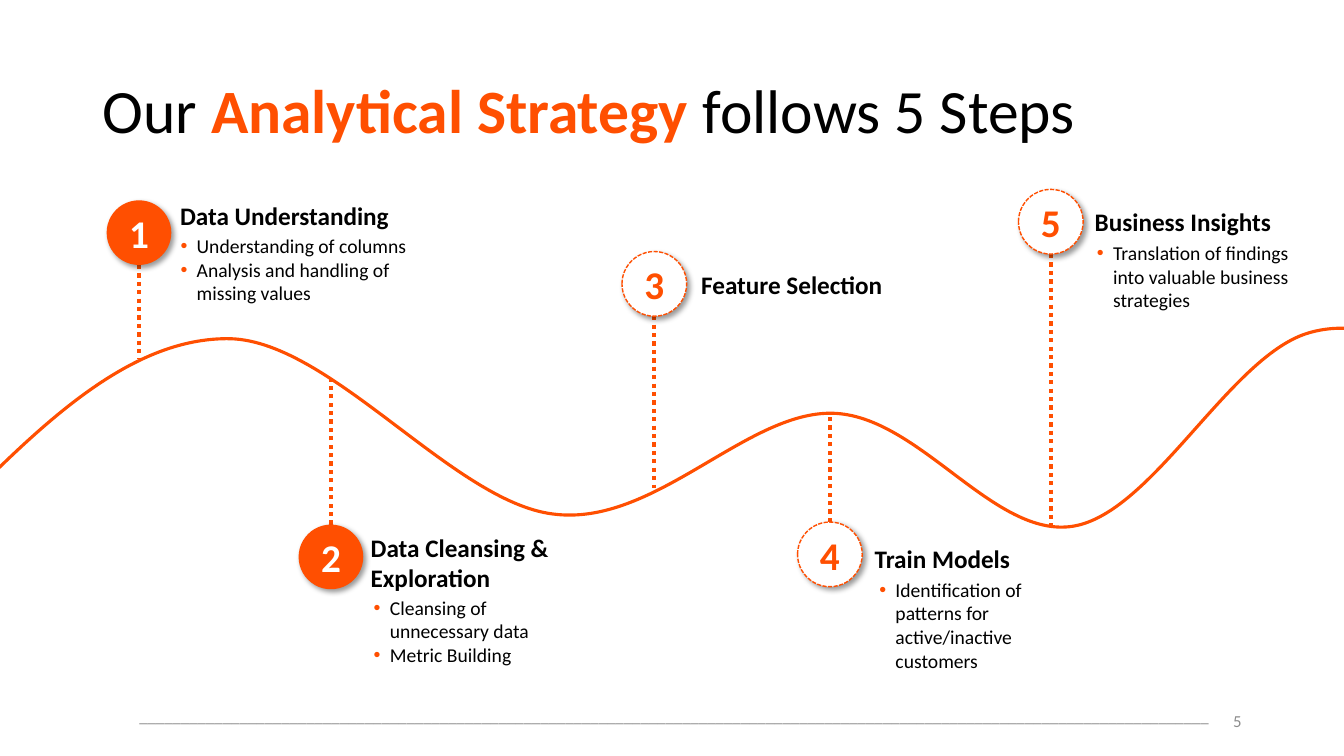
from dataclasses import dataclass

from lxml import etree
from pptx import Presentation
from pptx import util as u
from pptx.dml import color
from pptx.enum import dml, shapes, text
from pptx.oxml import ns

FONT = "Calibri"
ORANGE, BLACK, WHITE, GRAY = "FF4F01", "000000", "FFFFFF", "8C8C8C"
COLUMNS, ROWS = 160, 90
CELL = u.Inches(7.5) / ROWS
DIAMETER = 7.7


@dataclass
class Step:
    number: int
    center: tuple
    curve_row: float
    heading: str
    offset: tuple
    bullets: tuple = ()
    bullet_shift: float = 0
    width: float = 27.1
    done: bool = False


STEPS = [
    Step(1, (16.55, 27.7), 42.75, "Data Understanding", (3.7, -4.5),
         ("Understanding of columns", "Analysis and handling of missing values"),
         bullet_shift=-0.3, width=31.8, done=True),
    Step(2, (39.4, 66.3), 45, "Data Cleansing &\nExploration", (3.55, -3.5),
         ("Cleansing of unnecessary data", "Metric Building"), done=True),
    Step(3, (77.9, 33.8), 58.1, "Feature Selection", (4.4, -2.3)),
    Step(4, (98.8, 66), 49.1, "Train Models", (4.15, -1.9),
         ("Identification of patterns for active/inactive customers",),
         bullet_shift=0.2),
    Step(5, (125.1, 26.4), 62.5, "Business Insights", (4.05, -2.4),
         ("Translation of findings into valuable business strategies",),
         bullet_shift=-0.1),
]

WAVE = [
    (-0.55, 5.18),
    (0.34, 4.28), (1.23, 3.37), (2.24, 3.36),
    (3.25, 3.34), (4.49, 4.98), (5.49, 5.1),
    (6.49, 5.23), (7.4, 4.08), (8.26, 4.1),
    (9.12, 4.12), (9.86, 5.35), (10.65, 5.22),
    (11.43, 5.09), (12.19, 3.56), (12.96, 3.31),
    (13.73, 3.06), (14.57, 3.76), (15.26, 3.74),
    (15.95, 3.72), (17.1, 3.2), (17.1, 3.2),
    (17.47, 3.09), (17.45, 3.18), (17.48, 3.09),
]


def grid(*lengths):
    return [u.Emu(round(length * CELL)) for length in lengths]


def rgb(value):
    return color.RGBColor.from_string(value)


def child(parent, tag, **attributes):
    element = etree.SubElement(parent, ns.qn(tag))
    for name, value in attributes.items():
        element.set(name, str(value))
    return element


def add_bullet(paragraph):
    properties = paragraph._p.get_or_add_pPr()
    properties.set("marL", str(u.Inches(0.19)))
    properties.set("indent", str(u.Inches(-0.16)))
    child(child(properties, "a:buClr"), "a:srgbClr", val=ORANGE)
    child(properties, "a:buFont", typeface="Arial")
    child(properties, "a:buChar", char="•")


def write(paragraph, content, size=18, fill=BLACK, bold=False,
          align=text.PP_ALIGN.LEFT, bullet=False):
    paragraph.text = content
    paragraph.alignment = align
    if bullet:
        add_bullet(paragraph)
    for run in paragraph.runs:
        style(run, size, fill, bold)


def style(run, size, fill, bold):
    run.font.name, run.font.size, run.font.bold = FONT, u.Pt(size), bold
    run.font.color.rgb = rgb(fill)


def add_text(slide, box, lines, anchor=text.MSO_ANCHOR.TOP, **form):
    frame = slide.shapes.add_textbox(*grid(*box)).text_frame
    frame.word_wrap = True
    frame.vertical_anchor = anchor
    for index, line in enumerate(lines):
        paragraph = frame.add_paragraph() if index else frame.paragraphs[0]
        write(paragraph, line, **form)


def add_title(slide, box):
    title = slide.shapes.title
    title.left, title.top, title.width, title.height = grid(*box)
    frame = title.text_frame
    frame.auto_size = text.MSO_AUTO_SIZE.NONE
    frame.vertical_anchor = text.MSO_ANCHOR.MIDDLE
    paragraph = frame.paragraphs[0]
    paragraph.alignment = text.PP_ALIGN.LEFT
    paragraph.line_spacing = 0.9
    for words, fill, bold in (("Our ", BLACK, False),
                              ("Analytical Strategy ", ORANGE, True),
                              ("follows 5 Steps", BLACK, False)):
        run = paragraph.add_run()
        run.text = words
        style(run, 44, fill, bold)


def add_wave(slide):
    points = [(u.Inches(x), u.Inches(y)) for x, y in WAVE]
    builder = slide.shapes.build_freeform(*points[0])
    builder.add_line_segments(points[1:], close=False)
    wave = builder.convert_to_shape()
    wave.shadow.inherit = False
    wave.fill.background()
    wave.line.color.rgb = rgb(ORANGE)
    wave.line.width = u.Pt(2.25)
    segments = list(wave._element.iter(ns.qn("a:lnTo")))
    for start in range(0, len(segments), 3):
        curve = child(segments[start].getparent(), "a:cubicBezTo")
        for segment in segments[start:start + 3]:
            curve.append(segment[0])
            segment.getparent().remove(segment)


def add_stem(slide, column, top, bottom):
    stem = slide.shapes.add_connector(
        shapes.MSO_CONNECTOR.STRAIGHT, *grid(column, top, column, bottom))
    stem.line.color.rgb = rgb(ORANGE)
    stem.line.width = u.Pt(3)
    stem.line.dash_style = dml.MSO_LINE.ROUND_DOT
    child(stem._element.spPr, "a:effectLst")


def add_badge(slide, box, number, done):
    badge = slide.shapes.add_shape(shapes.MSO_SHAPE.OVAL, *grid(*box))
    badge.fill.solid()
    badge.fill.fore_color.rgb = rgb(ORANGE if done else WHITE)
    if done:
        badge.line.fill.background()
    else:
        badge.line.color.rgb = rgb(ORANGE)
        badge.line.width = u.Pt(1)
        badge.line.dash_style = dml.MSO_LINE.SQUARE_DOT
        badge.line._ln.find(ns.qn("a:prstDash")).set("val", "sysDash")
    badge.shadow.inherit = False
    effects = badge._element.spPr.find(ns.qn("a:effectLst"))
    shadow = child(effects, "a:outerShdw", blurRad=u.Pt(4), dist=u.Pt(3),
                   dir=45 * 60000, algn="tl", rotWithShape=0)
    child(child(shadow, "a:srgbClr", val=BLACK), "a:alpha", val=40000)
    frame = badge.text_frame
    frame.margin_left = frame.margin_right = 0
    frame.margin_top = frame.margin_bottom = 0
    frame.word_wrap = False
    frame.vertical_anchor = text.MSO_ANCHOR.MIDDLE
    write(frame.paragraphs[0], str(number), size=28, bold=True,
          fill=WHITE if done else ORANGE, align=text.PP_ALIGN.CENTER)


def add_step(slide, step):
    column, row = step.center
    radius = DIAMETER / 2
    edge = row + radius if step.curve_row > row else row - radius
    add_stem(slide, column, edge, step.curve_row)
    add_badge(slide, (column - radius, row - radius, DIAMETER, DIAMETER),
              step.number, step.done)
    left, top = column + step.offset[0], row + step.offset[1]
    extra = 3.4 * step.heading.count("\n")
    add_text(slide, (left, top, step.width, 4.8 + extra), [step.heading], bold=True)
    if step.bullets:
        add_text(slide, (left + step.bullet_shift, top + 4.1 + extra, step.width, 9.7),
                 step.bullets, size=14, bullet=True)


def add_footer(slide, top, height):
    add_text(slide, (15.4, top, 131, height), ["_" * 128], size=12, fill=GRAY)
    add_text(slide, (113, top, 36, height), ["5"], size=12, fill=GRAY,
             anchor=text.MSO_ANCHOR.MIDDLE, align=text.PP_ALIGN.RIGHT)


def main():
    presentation = Presentation()
    presentation.slide_width, presentation.slide_height = grid(COLUMNS, ROWS)
    slide = presentation.slides.add_slide(presentation.slide_layouts[5])
    add_footer(slide, 83.4, 4.8)
    add_title(slide, (11, 4.8, 138, 17.4))
    add_wave(slide)
    for step in STEPS:
        add_step(slide, step)
    presentation.save("out.pptx")


if __name__ == "__main__":
    main()
